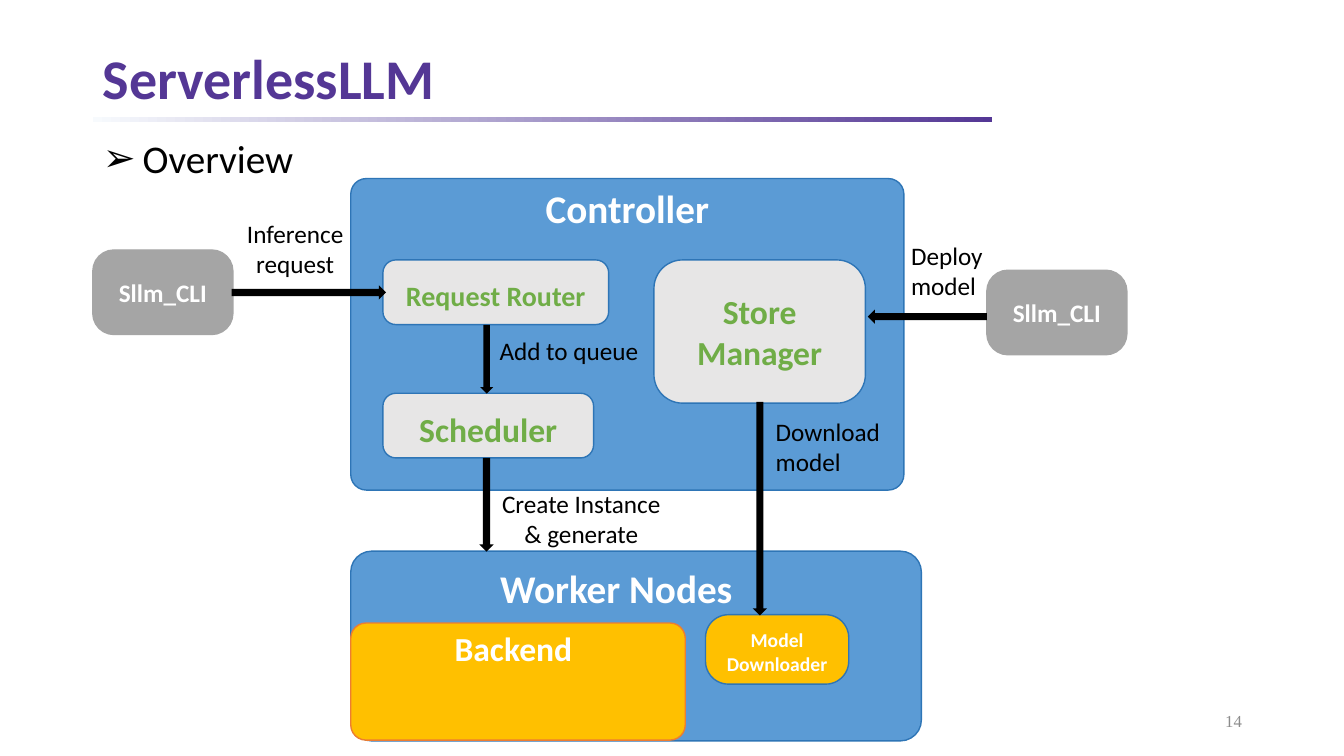
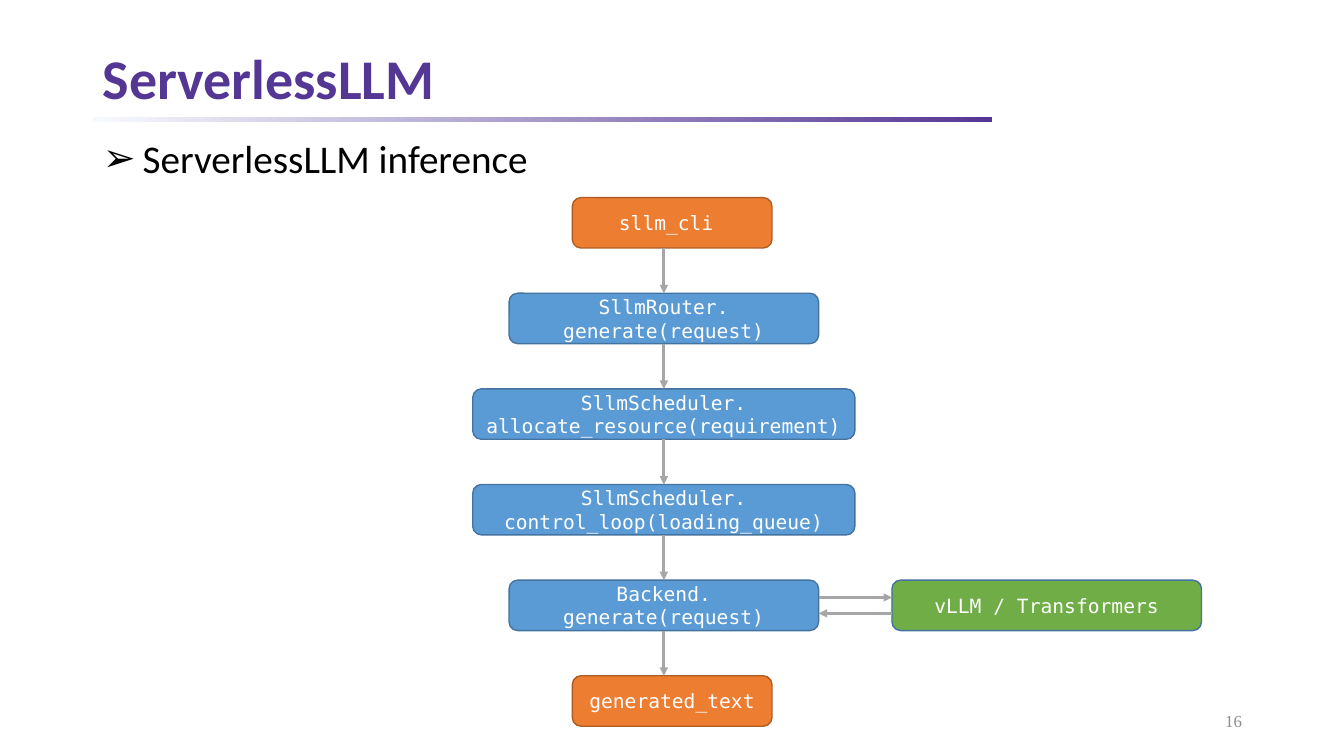
from dataclasses import dataclass
from itertools import pairwise

from lxml.etree import SubElement
from pptx import Presentation
from pptx.dml.color import RGBColor
from pptx.enum.shapes import MSO_CONNECTOR, MSO_SHAPE
from pptx.enum.text import MSO_ANCHOR, MSO_AUTO_SIZE, PP_ALIGN
from pptx.oxml.ns import qn
from pptx.util import Cm, Pt


@dataclass(frozen=True)
class Theme:
    """Colours, fonts and type sizes shared by the slides."""
    purple: str = "543795"
    pale: str = "F7FAFD"
    black: str = "000000"
    white: str = "FFFFFF"
    blue: str = "5B9BD5"
    edge: str = "2E75B6"
    rim: str = "43739E"
    silver: str = "E7E6E6"
    gray: str = "A5A5A5"
    wire: str = "A6A6A6"
    faint: str = "8C8C8C"
    green: str = "70AD47"
    gold: str = "FFC000"
    orange: str = "ED7D31"
    rust: str = "AF5C24"
    sans: str = "Calibri"
    mono: str = "DejaVu Sans Mono"
    serif: str = "Times New Roman"
    title: int = 40
    large: int = 28
    head: int = 24
    mid: int = 20
    label: int = 18
    small: int = 14
    foot: int = 12


T = Theme()
SPINE = 16.73


def rgb(code):
    """Turn a hex code into a colour."""
    return RGBColor.from_string(code)


def apply(item, **values):
    """Set each named attribute on an object."""
    for key, value in values.items():
        setattr(item, key, value)


def place(item, box):
    """Move an object to left, top, width and height in centimetres."""
    apply(item, **dict(zip(("left", "top", "width", "height"), map(Cm, box))))


def write(frame, text, size, color, font=T.sans, bold=False,
          align=PP_ALIGN.LEFT, anchor=MSO_ANCHOR.TOP):
    """Fill a text frame, one paragraph per line, in one format."""
    apply(frame, text=text, word_wrap=True, auto_size=MSO_AUTO_SIZE.NONE,
          vertical_anchor=anchor)
    for para in frame.paragraphs:
        para.alignment = align
        for run in para.runs:
            apply(run.font, name=font, size=Pt(size), bold=bold)
            run.font.color.rgb = rgb(color)


def shape(slide, kind, box, fill, line=None):
    """Add a flat preset shape."""
    item = slide.shapes.add_shape(kind, *map(Cm, box))
    item.shadow.inherit = False
    item.fill.solid()
    item.fill.fore_color.rgb = rgb(fill)
    if line:
        item.line.color.rgb = rgb(line)
        item.line.width = Pt(1)
    else:
        item.line.fill.background()
    return item


def node(slide, box, text, size, color, fill, line, curve=0.17, top=0, right=0,
         anchor=MSO_ANCHOR.MIDDLE, font=T.sans, bold=True):
    """Add a rounded box with centred text."""
    item = shape(slide, MSO_SHAPE.ROUNDED_RECTANGLE, box, fill, line)
    item.adjustments[0] = curve
    apply(item.text_frame, margin_left=0, margin_bottom=0,
          margin_top=Cm(top), margin_right=Cm(right))
    write(item.text_frame, text, size, color, font, bold, PP_ALIGN.CENTER, anchor)
    return item


def label(slide, box, text, size=T.label, color=T.black, **form):
    """Add a text box."""
    item = slide.shapes.add_textbox(*map(Cm, box))
    write(item.text_frame, text, size, color, **form)


def link(slide, start, end):
    """Add a gray arrow between two points."""
    item = slide.shapes.add_connector(MSO_CONNECTOR.STRAIGHT, *map(Cm, start + end))
    item.line.color.rgb = rgb(T.wire)
    item.line.width = Pt(2)
    props = item.element.spPr
    SubElement(props.find(qn("a:ln")), qn("a:tailEnd"), type="triangle")
    SubElement(props, qn("a:effectLst"))
    return item


def bullet(para):
    """Give a paragraph an arrow bullet with a hanging indent."""
    props = para._p.get_or_add_pPr()
    props.set("marL", str(Cm(1)))
    props.set("indent", str(-Cm(1)))
    SubElement(props, qn("a:buFont"), typeface="Arial")
    SubElement(props, qn("a:buChar"), char="➢")


def page(deck, topic, number):
    """Add a slide with title, band, topic line and number."""
    slide = deck.slides.add_slide(deck.slide_layouts[1])
    band = shape(slide, MSO_SHAPE.RECTANGLE, (2.34, 2.95, 22.66, 0.13), T.purple)
    band.fill.gradient()
    band.fill.gradient_angle = 0
    for stop, code in zip(band.fill.gradient_stops, (T.pale, T.purple)):
        stop.color.rgb = rgb(code)
    title, body = slide.shapes.title, slide.placeholders[1]
    place(title, (2.34, 1.09, 29.21, 1.9))
    write(title.text_frame, "ServerlessLLM", T.title, T.purple, bold=True,
          anchor=MSO_ANCHOR.MIDDLE)
    place(body, (2.34, 3.38, 29.21, 1.78))
    write(body.text_frame, topic, T.large, T.black)
    bullet(body.text_frame.paragraphs[0])
    for item in (title, body):
        apply(item.text_frame.paragraphs[0], line_spacing=0.9, space_before=Pt(0))
    label(slide, (23.93, 17.65, 7.62, 1.02), number, T.foot, T.faint,
          font=T.serif, align=PP_ALIGN.RIGHT, anchor=MSO_ANCHOR.MIDDLE)
    return slide


def overview(deck):
    """Draw the parts of the system and the calls between them."""
    slide = page(deck, "Overview", "14")
    panels = (
        ((8.84, 4.5, 13.94, 7.85), "Controller", T.large, T.blue, T.edge, 0.05, 0.04, 0),
        ((8.84, 13.89, 14.38, 4.78), "Worker Nodes", T.large, T.blue, T.edge, 0.11, 0.17, 1),
        ((8.84, 15.7, 8.43, 2.95), "Backend", T.head, T.gold, T.orange, 0.13, 0, 0.23),
    )
    for box, text, size, fill, line, curve, top, right in panels:
        node(slide, box, text, size, T.white, fill, line, curve, top, right,
             MSO_ANCHOR.TOP)
    parts = (
        ((9.65, 6.55, 5.69, 1.63), "Request Router", T.mid, 0.14),
        ((9.65, 9.91, 5.31, 1.63), "Scheduler", T.head, 0.18),
        ((16.48, 6.55, 5.33, 3.61), "Store Manager", T.head, 0),
    )
    for box, text, size, top in parts:
        node(slide, box, text, size, T.green, T.silver, T.edge, 0.2, top)
    node(slide, (17.78, 15.49, 3.61, 1.75), "Model Downloader", T.small,
         T.white, T.gold, T.edge, 0.33, 0.12)
    for left, top in ((2.34, 6.3), (24.87, 6.81)):
        node(slide, (left, top, 3.53, 2.13), "Sllm_CLI", T.label,
             T.white, T.gray, T.gray, 0.25)
    arrows = (
        (MSO_SHAPE.RIGHT_ARROW, (5.84, 7.19, 3.89, 0.36)),
        (MSO_SHAPE.LEFT_ARROW, (21.87, 7.8, 3, 0.36)),
        (MSO_SHAPE.DOWN_ARROW, (12.1, 8.19, 0.33, 1.73)),
        (MSO_SHAPE.DOWN_ARROW, (12.08, 11.54, 0.36, 2.36)),
        (MSO_SHAPE.DOWN_ARROW, (18.97, 10.13, 0.36, 5.38)),
    )
    for kind, box in arrows:
        shape(slide, kind, box, T.black)
    notes = (
        ((5.84, 5.38, 3.2, 1.8), "Inference\nrequest", PP_ALIGN.CENTER),
        ((12.3, 12.17, 4.7, 1.8), "Create Instance\n& generate", PP_ALIGN.CENTER),
        ((12.34, 8.33, 4.17, 1.02), "Add to queue", PP_ALIGN.LEFT),
        ((22.71, 5.92, 2.54, 1.88), "Deploy\nmodel", PP_ALIGN.LEFT),
        ((19.3, 10.36, 3.48, 1.8), "Download model", PP_ALIGN.LEFT),
    )
    for box, text, align in notes:
        label(slide, box, text, align=align)


def step(slide, mid, top, width, text, fill, line):
    """Add one call of the flow, centred on mid."""
    return node(slide, (mid - width / 2, top, width, 1.27), text, T.small,
                T.white, fill, line, font=T.mono, bold=False)


def flow(deck):
    """Draw the chain of calls for one request."""
    slide = page(deck, "ServerlessLLM inference", "16")
    first, pitch, high = 4.98, 2.41, 1.27
    side, narrow, wide = 16.94, 7.8, 9.63
    ends, calls = (T.orange, T.rust), (T.blue, T.rim)
    steps = (
        (side, 5.03, "sllm_cli ", ends),
        (SPINE, narrow, "SllmRouter.\ngenerate(request)", calls),
        (SPINE, wide, "SllmScheduler.\nallocate_resource(requirement)", calls),
        (SPINE, wide, "SllmScheduler.\ncontrol_loop(loading_queue)", calls),
        (SPINE, narrow, "Backend.\ngenerate(request)", calls),
        (side, 5.03, "generated_text", ends),
    )
    chain = []
    for row, (mid, width, text, paint) in enumerate(steps):
        top = first + row * pitch
        chain.append((mid, top, step(slide, mid, top, width, text, *paint)))
    for (mid, top, box), (goal, below, target) in pairwise(chain):
        wire = link(slide, (SPINE, top + high), (SPINE, below))
        if mid == SPINE:
            wire.begin_connect(box, 2)
        if goal == SPINE:
            wire.end_connect(target, 0)
    top = first + 4 * pitch
    near, far = SPINE + narrow / 2, 22.48
    step(slide, far + narrow / 2, top, narrow, "vLLM / Transformers", T.green, T.rim)
    level = top + high / 2
    link(slide, (near, level - 0.2), (far, level - 0.2))
    link(slide, (far, level + 0.2), (near, level + 0.2))


def main():
    """Build and save the deck."""
    deck = Presentation()
    apply(deck, slide_width=Cm(33.87), slide_height=Cm(19.05))
    overview(deck)
    flow(deck)
    deck.save("out.pptx")


if __name__ == "__main__":
    main()
